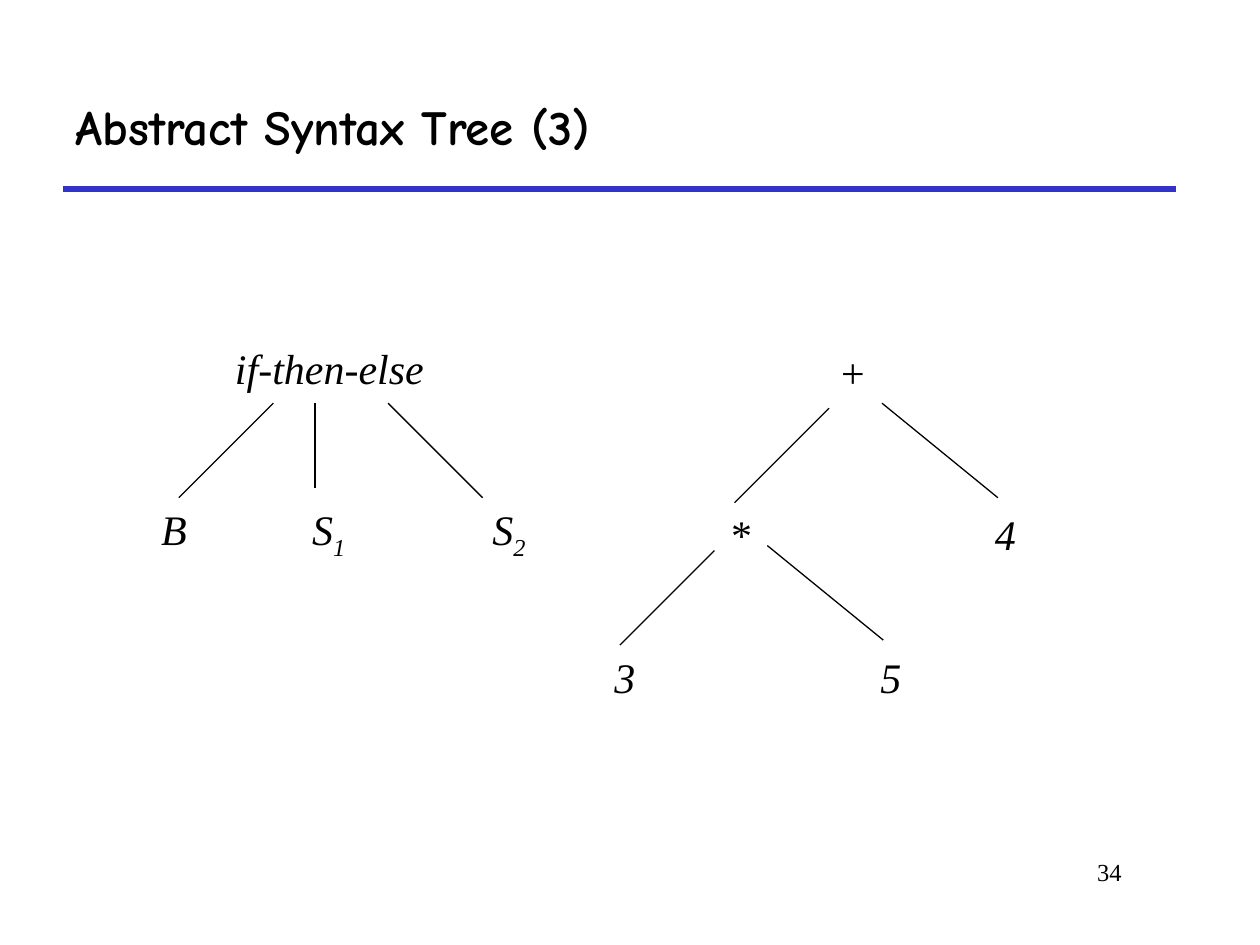
from dataclasses import dataclass

from lxml.etree import SubElement
from pptx import Presentation
from pptx.dml.color import RGBColor
from pptx.enum.shapes import MSO_CONNECTOR as CONN
from pptx.enum.text import MSO_ANCHOR as ANCHOR, MSO_AUTO_SIZE as FIT, PP_ALIGN as ALIGN
from pptx.oxml.ns import qn
from pptx.util import Inches, Pt


@dataclass(frozen=True)
class Theme:
    ink: str = "000000"
    rule: str = "3333CC"
    title_font: str = "Comic Neue"
    body_font: str = "Times New Roman"
    title_size: int = 28
    node_size: int = 24
    number_size: int = 14


T = Theme()


def add_run(p, text, font=T.body_font, size=T.node_size, bold=False, italic=False, sub=False):
    r = p.add_run()
    r.text = text
    f = r.font
    f.name, f.size, f.bold, f.italic = font, Pt(size), bold, italic
    f.color.rgb = RGBColor.from_string(T.ink)
    if sub:
        r._r.get_or_add_rPr().set("baseline", "-25000")


def add_line(s, start, end, color=T.ink, width=0.75):
    line = s.shapes.add_connector(CONN.STRAIGHT, *map(Inches, (*start, *end)))
    line.line.color.rgb = RGBColor.from_string(color)
    line.line.width = Pt(width)
    SubElement(line._element.spPr, qn("a:effectLst"))


def add_title(s, text):
    sp = s.shapes.title
    sp.left, sp.top, sp.width, sp.height = map(Inches, (0.5, 0.5, 8.83, 1))
    tf = sp.text_frame
    tf.vertical_anchor = ANCHOR.MIDDLE
    p = tf.paragraphs[0]
    p.alignment = ALIGN.LEFT
    add_run(p, text, font=T.title_font, size=T.title_size, bold=True)


def add_number(s, text):
    tf = s.shapes.add_textbox(*map(Inches, (6.92, 6.75, 2.08, 0.5))).text_frame
    tf.word_wrap = True
    p = tf.paragraphs[0]
    p.alignment = ALIGN.RIGHT
    add_run(p, text, size=T.number_size)


def add_node(s, text, center, top, width=0.37, sub=""):
    """Label of a tree node, centred on a horizontal position."""
    sp = s.shapes.add_textbox(*map(Inches, (center - width / 2, top, width, 0.5)))
    tf = sp.text_frame
    tf.word_wrap = False
    tf.auto_size = FIT.SHAPE_TO_FIT_TEXT
    p = tf.paragraphs[0]
    p.alignment = ALIGN.CENTER
    add_run(p, text, italic=True)
    if sub:
        add_run(p, sub, italic=True, sub=True)


def add_operands(s, x, y, left, right):
    """Two branches below an operator, with their operands."""
    add_line(s, (x, y + 0.04), (x - 0.75, y + 0.79))
    add_line(s, (x + 0.42, y), (x + 1.34, y + 0.75))
    add_node(s, left, x - 0.71, y + 0.79)
    add_node(s, right, x + 1.4, y + 0.79)


def main():
    prs = Presentation()
    prs.slide_width, prs.slide_height = Inches(10), Inches(7.5)
    s = prs.slides.add_slide(prs.slide_layouts[5])

    # Heading and page number
    add_line(s, (0.5, 1.5), (9.33, 1.5), color=T.rule, width=3)
    add_title(s, "Abstract Syntax Tree (3)")
    add_number(s, "34")

    # Conditional statement tree
    add_node(s, "if-then-else", 2.615, 2.67, width=1.77)
    for text, sub, center, width in (("B", "", 1.38, 0.42), ("S", "1", 2.61, 0.5),
                                     ("S", "2", 4.04, 0.5)):
        add_node(s, text, center, 3.95, width=width, sub=sub)
    for x, end in ((2.17, (1.42, 3.95)), (2.5, (2.5, 3.87)), (3.08, (3.83, 3.95))):
        add_line(s, (x, 3.2), end)

    # Arithmetic expression tree
    add_node(s, "+", 6.75, 2.7, width=0.39)
    add_operands(s, 6.58, 3.2, "*", "4")
    add_operands(s, 5.67, 4.33, "3", "5")

    prs.save("out.pptx")


if __name__ == "__main__":
    main()
